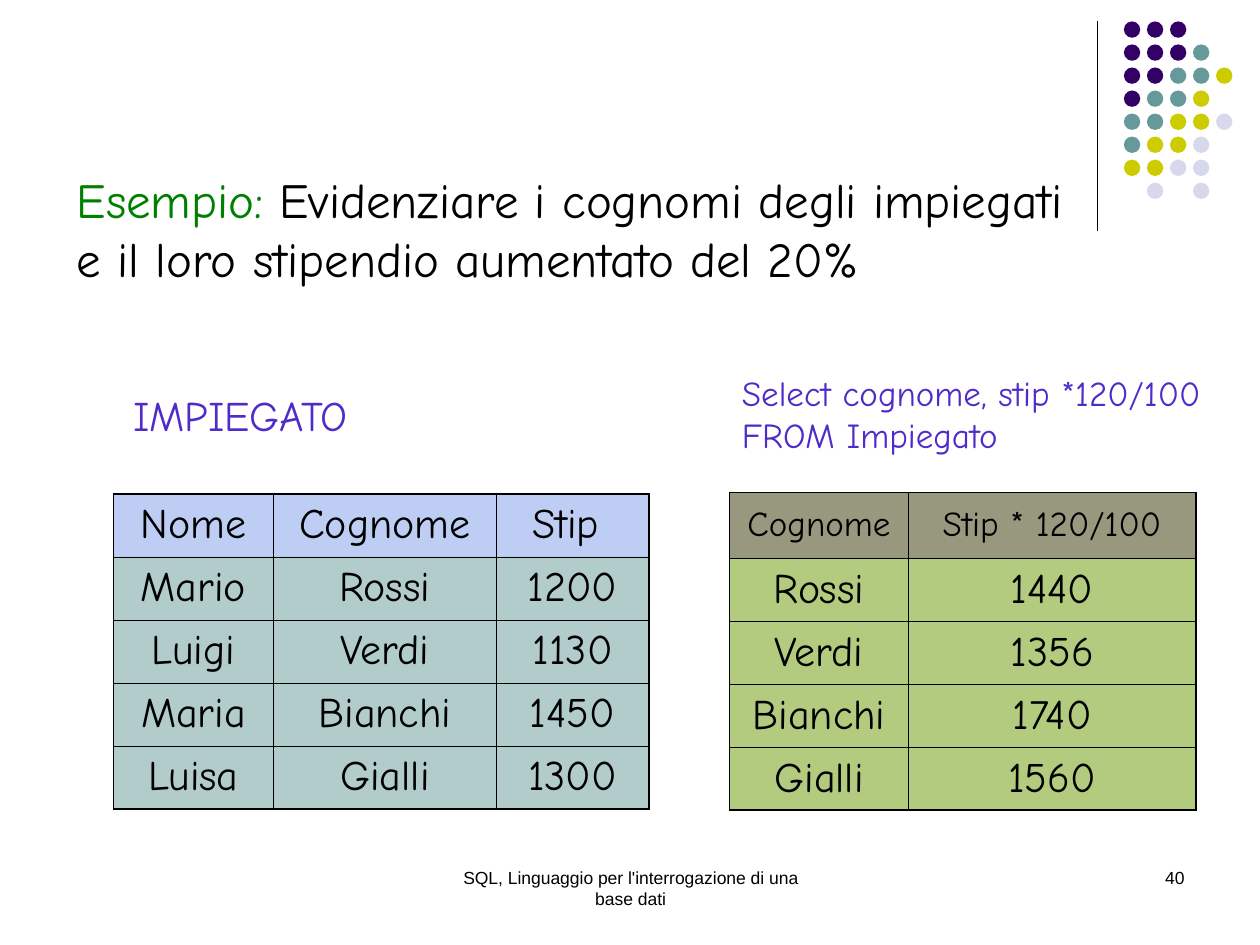
from pptx import Presentation
from pptx.dml.color import RGBColor
from pptx.enum.shapes import MSO_CONNECTOR as CONN, MSO_SHAPE as SHAPE
from pptx.enum.text import MSO_ANCHOR as ANCHOR, MSO_AUTO_SIZE as AUTO, PP_ALIGN as ALIGN
from pptx.oxml.ns import qn
from pptx.util import Inches, Pt
from lxml import etree

BLACK = "000000"
VIOLET = "4E2CCA"
DOT_COLOURS = {"P": "330066", "T": "669999", "Y": "CCCC00", "L": "D8D8EC"}
DOT_ROWS = ["PPP", "PPPT", "PPTTY", "PTTY", "TTYYL", "TYYL", "YYLL", " L L"]


def rgb(value):
    return RGBColor.from_string(value)


class Deck:
    font = "Comic Neue"
    thick = 1.08
    thin = 0.45

    def __init__(self, prs):
        self.slide = prs.slides.add_slide(prs.slide_layouts[6])

    def style(self, r, size, colour, font=None):
        r.font.name = font or self.font
        r.font.size = Pt(size)
        r.font.color.rgb = rgb(colour)

    def line(self, x1, y1, x2, y2):
        cn = self.slide.shapes.add_connector(
            CONN.STRAIGHT, Inches(x1), Inches(y1), Inches(x2), Inches(y2))
        cn.line.color.rgb = rgb(BLACK)
        cn.line.width = Pt(0.75)
        etree.SubElement(cn._element.spPr, qn("a:effectLst"))

    def dot(self, x, y, size, colour):
        sp = self.slide.shapes.add_shape(
            SHAPE.OVAL, Inches(x), Inches(y), Inches(size), Inches(size))
        sp.shadow.inherit = False
        sp.fill.solid()
        sp.fill.fore_color.rgb = rgb(colour)
        sp.line.fill.background()

    def text(self, x, y, w, h, lines, size, font=None, align=ALIGN.LEFT, wrap=False):
        sp = self.slide.shapes.add_textbox(Inches(x), Inches(y), Inches(w), Inches(h))
        tf = sp.text_frame
        tf.word_wrap = wrap
        tf.auto_size = AUTO.NONE if wrap else AUTO.SHAPE_TO_FIT_TEXT
        for i, runs in enumerate(lines):
            p = tf.add_paragraph() if i else tf.paragraphs[0]
            p.alignment = align
            for words, colour in runs:
                r = p.add_run()
                r.text = words
                self.style(r, size, colour, font)

    def cell(self, cell, words, size, fill, borders):
        cell.text_frame.text = words
        p = cell.text_frame.paragraphs[0]
        p.alignment = ALIGN.CENTER
        self.style(p.runs[0], size, BLACK)
        cell.fill.solid()
        cell.fill.fore_color.rgb = rgb(fill)
        tcPr = cell._tc.get_or_add_tcPr()
        clr = tcPr.find(".//" + qn("a:srgbClr"))
        etree.SubElement(clr, qn("a:alpha"), val="50000")
        for i, (side, width) in enumerate(borders.items()):
            ln = etree.Element(qn("a:ln" + side), w=str(Pt(width)))
            solid = etree.SubElement(ln, qn("a:solidFill"))
            etree.SubElement(solid, qn("a:srgbClr"), val=BLACK)
            tcPr.insert(i, ln)

    def table(self, x, y, widths, heights, rows, head_size, head_fill, body_fill,
              margin=0.1, anchor=ANCHOR.TOP):
        n, m = len(rows), len(widths)
        tbl = self.slide.shapes.add_table(
            n, m, Inches(x), Inches(y), Inches(sum(widths)), Inches(sum(heights))).table
        tbl.first_row = tbl.horz_banding = False
        for col, w in zip(tbl.columns, widths):
            col.width = Inches(w)
        for i, (row, h) in enumerate(zip(rows, heights)):
            tbl.rows[i].height = Inches(h)
            for j, words in enumerate(row):
                outer = {"L": j == 0, "R": j == m - 1, "T": i == 0, "B": i == n - 1}
                borders = {s: self.thick if o else self.thin for s, o in outer.items()}
                c = tbl.cell(i, j)
                c.margin_left = c.margin_right = Inches(margin)
                c.vertical_anchor = anchor
                self.cell(c, words, 24 if i else head_size,
                          body_fill if i else head_fill, borders)


def main():
    prs = Presentation()
    prs.slide_width, prs.slide_height = Inches(10), Inches(7.5)
    deck = Deck(prs)

    deck.line(8.71, 0.17, 8.71, 1.83)
    step = 1.28 / 7
    for i, row in enumerate(DOT_ROWS):
        for j, key in enumerate(row):
            if key in DOT_COLOURS:
                deck.dot(8.92 + j * step, 0.17 + i * step, 0.13, DOT_COLOURS[key])

    deck.text(0.51, 1.3, 8.16, 1.04, [
        [("Esempio:", "008000"), (" Evidenziare i cognomi degli impiegati", BLACK)],
        [("e il loro stipendio aumentato del 20%", BLACK)]], 28)

    deck.table(5.79, 3.91, [1.42, 2.28], [0.52] + [0.5] * 4, [
        ["Cognome", "Stip * 120/100"],
        ["Rossi", "1440"],
        ["Verdi", "1356"],
        ["Bianchi", "1740"],
        ["Gialli", "1560"]], 20, "333300", "669900", 0.08, ANCHOR.MIDDLE)
    deck.table(0.9, 3.92, [1.27, 1.77, 1.21], [0.5] * 5, [
        ["Nome", "Cognome", "Stip "],
        ["Mario", "Rossi", "1200"],
        ["Luigi", "Verdi", "1130"],
        ["Maria", "Bianchi", "1450"],
        ["Luisa", "Gialli", "1300"]], 24, "7E9CE8", "669999")

    deck.text(0.96, 3.04, 1.95, 0.5, [[("IMPIEGATO", VIOLET)]], 24)
    deck.text(5.79, 2.9, 3.84, 0.77, [
        [("Select cognome, stip *120/100", VIOLET)],
        [("FROM Impiegato", VIOLET)]], 20)
    deck.text(3.42, 6.83, 3.17, 0.5,
              [[("SQL, Linguaggio per l'interrogazione di una base dati", BLACK)]],
              10, "Arial", ALIGN.CENTER, True)
    deck.text(7.17, 6.83, 2.33, 0.5, [[("40", BLACK)]], 10, "Arial", ALIGN.RIGHT, True)

    prs.save("out.pptx")


if __name__ == "__main__":
    main()
